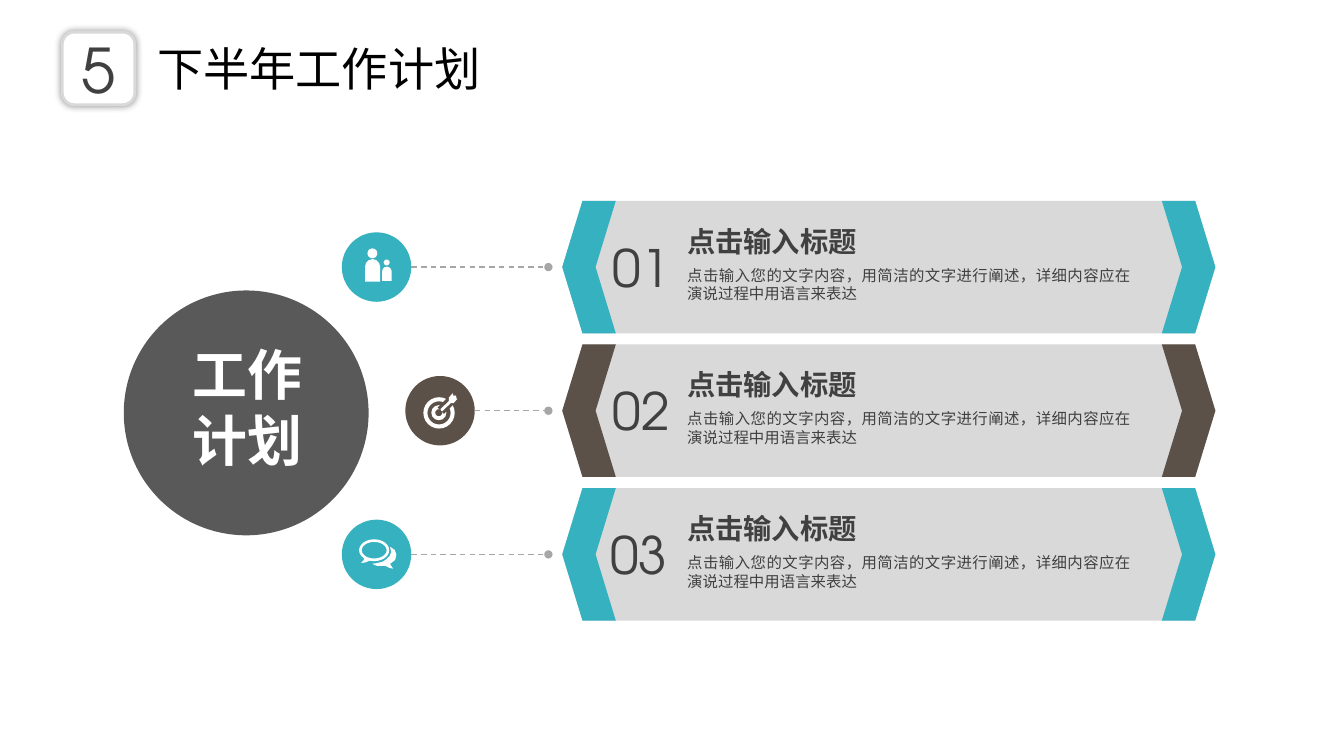
from lxml import etree
from pptx import Presentation
from pptx import util as u
from pptx.dml.color import RGBColor
from pptx.enum import dml, shapes, text
from pptx.oxml import ns

COLORS = {"teal": "36B1C0", "brown": "5B5149", "dark": "595959", "text": "404040",
          "band": "D9D9D9", "line": "A6A6A6", "white": "FFFFFF", "black": "000000"}
LATIN, CJK = "TeX Gyre Adventor", "Noto Sans CJK SC"
GEO, ALIGN = shapes.MSO_SHAPE, text.PP_ALIGN

prs = Presentation()
prs.slide_width, prs.slide_height = u.Cm(33.87), u.Cm(19.05)
s = prs.slides.add_slide(prs.slide_layouts[6]).shapes


def add_part(kind, left, top, width, height, color, adjust=None):
    sp = s.add_shape(kind, u.Cm(left), u.Cm(top), u.Cm(width), u.Cm(height))
    sp.shadow.inherit = False
    sp.fill.solid()
    sp.fill.fore_color.rgb = RGBColor.from_string(COLORS[color])
    sp.line.fill.background()
    if adjust is not None:
        sp.adjustments[0] = adjust
    return sp


def write(sp, words, size, color, align=ALIGN.LEFT, bold=False, font=LATIN, inset=None, wrap=True):
    tf = sp.text_frame
    tf.word_wrap = wrap
    if inset is not None:
        tf.margin_left = tf.margin_right = tf.margin_top = tf.margin_bottom = u.Cm(inset)
    p = tf.paragraphs[0]
    p.text, p.alignment = words, align
    p.font.size, p.font.bold, p.font.name = u.Pt(size), bold, font
    p.font.color.rgb = RGBColor.from_string(COLORS[color])
    etree.SubElement(p._p.pPr.find(ns.qn("a:defRPr")), ns.qn("a:ea"), typeface=CJK)


# Rows: accent colour, badge centre, number left edge
FIRST_MID, PITCH = 6.73, 3.62
rows = [("teal", 9.49, 15.44), ("brown", 11.09, 15.44), ("teal", 9.49, 15.37)]
mids = [FIRST_MID + i * PITCH for i in range(len(rows))]

# Icons, measured from the badge centre: preset parts, then outlines
icon_parts = [
    [(GEO.OVAL, -.23, -.47, .25, .25, None),
     (GEO.ROUND_2_SAME_RECTANGLE, -.29, -.2, .38, .57, .5),
     (GEO.OVAL, .18, -.19, .15, .15, None),
     (GEO.ROUND_2_SAME_RECTANGLE, .14, -.01, .24, .36, .5)],
    [(GEO.DONUT, -.42, -.34, .79, .79, .13), (GEO.DONUT, -.22, -.14, .38, .38, .26)],
    [(GEO.DONUT, -.44, -.38, .76, .55, .12)],
]
icon_outlines = [
    [],
    [("brown", [(-.06, -.08), (.37, -.51), (.53, -.35), (.1, .08)]),
     ("white", [(.42, -.34), (.38, -.39), (.34, -.37), (.32, -.44), (.22, -.33), (.22, -.24),
                (.01, -.04), (.04, .01), (.06, .01), (.27, -.19), (.34, -.19), (.44, -.3),
                (.39, -.32)])],
    [("white", [(-.32, .09), (-.32, .14), (-.39, .22), (-.27, .2), (-.16, .15), (-.19, .09)]),
     ("white", [(.39, .32), (.34, .24), (.47, .14), (.5, .01), (.46, -.11), (.34, -.19),
                (.37, -.06), (.33, .04), (.24, .13), (.14, .19), (.01, .22), (-.11, .24),
                (.01, .29), (.22, .29), (.32, .34), (.42, .36)])],
]

# Main circle
add_part(GEO.OVAL, 3.12, 7.32, 6.17, 6.17, "dark")
box = s.add_textbox(u.Cm(4.29), u.Cm(8.46), u.Cm(3.89), u.Cm(3.61))
write(box, "工作计划", 39.2, "white", ALIGN.CENTER, bold=True)

# Dashed links, badges and icon parts
BADGE = 1.75
for (accent, center, _), mid, parts in zip(rows, mids, icon_parts):
    link = s.add_connector(shapes.MSO_CONNECTOR.STRAIGHT, u.Cm(center + BADGE / 2), u.Cm(mid),
                           u.Cm(13.82), u.Cm(mid))
    link.line.color.rgb = RGBColor.from_string(COLORS["line"])
    link.line.width = u.Pt(1)
    link.line.dash_style = dml.MSO_LINE.DASH
    etree.SubElement(link.line._get_or_add_ln(), ns.qn("a:tailEnd"), type="oval")
    etree.SubElement(link._element.spPr, ns.qn("a:effectLst"))
    add_part(GEO.OVAL, center - BADGE / 2, mid - BADGE / 2, BADGE, BADGE, accent)
    for kind, dx, dy, width, height, adjust in parts:
        add_part(kind, center + dx, mid + dy, width, height, "white", adjust)

# Outlines: banner, mirrored chevrons, icon details
HALF, MIRROR = 1.67, 44.8
chevron = [(15.52, -HALF), (14.68, -HALF), (14.17, 0), (14.68, HALF), (15.52, HALF), (15.01, 0)]
flipped = [(MIRROR - x, y) for x, y in chevron]
banner = chevron[1:4] + flipped[3:0:-1]
for (accent, center, _), mid, details in zip(rows, mids, icon_outlines):
    outlines = [("band", banner, 0), (accent, chevron, 0), (accent, flipped, 0)]
    outlines += [(color, points, center) for color, points in details]
    for color, points, origin in outlines:
        points = [(u.Cm(origin + x), u.Cm(mid + y)) for x, y in points]
        builder = s.build_freeform(*points[0])
        builder.add_line_segments(points[1:], close=True)
        sp = builder.convert_to_shape()
        sp.shadow.inherit = False
        sp.fill.solid()
        sp.fill.fore_color.rgb = RGBColor.from_string(COLORS[color])
        sp.line.fill.background()

# Row texts
for i, ((_, _, number_left), mid) in enumerate(zip(rows, mids), 1):
    texts = [
        (f"{i:02}", number_left, -.79, 1.45, 1.57, 36.8, ALIGN.CENTER, False, False),
        ("点击输入标题", 17.32, -1.09, 4.88, .86, 20.2, ALIGN.LEFT, True, True),
        ("点击输入您的文字内容，用简洁的文字进行阐述，详细内容应在演说过程中用语言来表达",
         17.32, -.03, 11.18, .94, 11, ALIGN.JUSTIFY, False, True),
    ]
    for words, left, dy, width, height, size, align, bold, wrap in texts:
        box = s.add_textbox(u.Cm(left), u.Cm(mid + dy), u.Cm(width), u.Cm(height))
        write(box, words, size, "text", align, bold, inset=0, wrap=wrap)

# Heading with numbered tile
box = s.add_textbox(u.Cm(3.71), u.Cm(.89), u.Cm(8.74), u.Cm(1.68))
write(box, "下半年工作计划", 33, "black", font=CJK, wrap=False)
tile = add_part(GEO.ROUNDED_RECTANGLE, 1.57, .81, 1.83, 1.83, "white")
tile.line.color.rgb = RGBColor.from_string(COLORS["band"])
tile.line.width = u.Pt(2)
tile.text_frame.vertical_anchor = text.MSO_ANCHOR.MIDDLE
write(tile, "5", 44, "text", ALIGN.CENTER)
effects = tile._element.spPr.find(ns.qn("a:effectLst"))
shadow = etree.SubElement(effects, ns.qn("a:outerShdw"), blurRad=str(u.Pt(5)), algn="ctr",
                          rotWithShape="0")
shade = etree.SubElement(shadow, ns.qn("a:srgbClr"), val=COLORS["black"])
etree.SubElement(shade, ns.qn("a:alpha"), val="40000")

prs.save("out.pptx")
